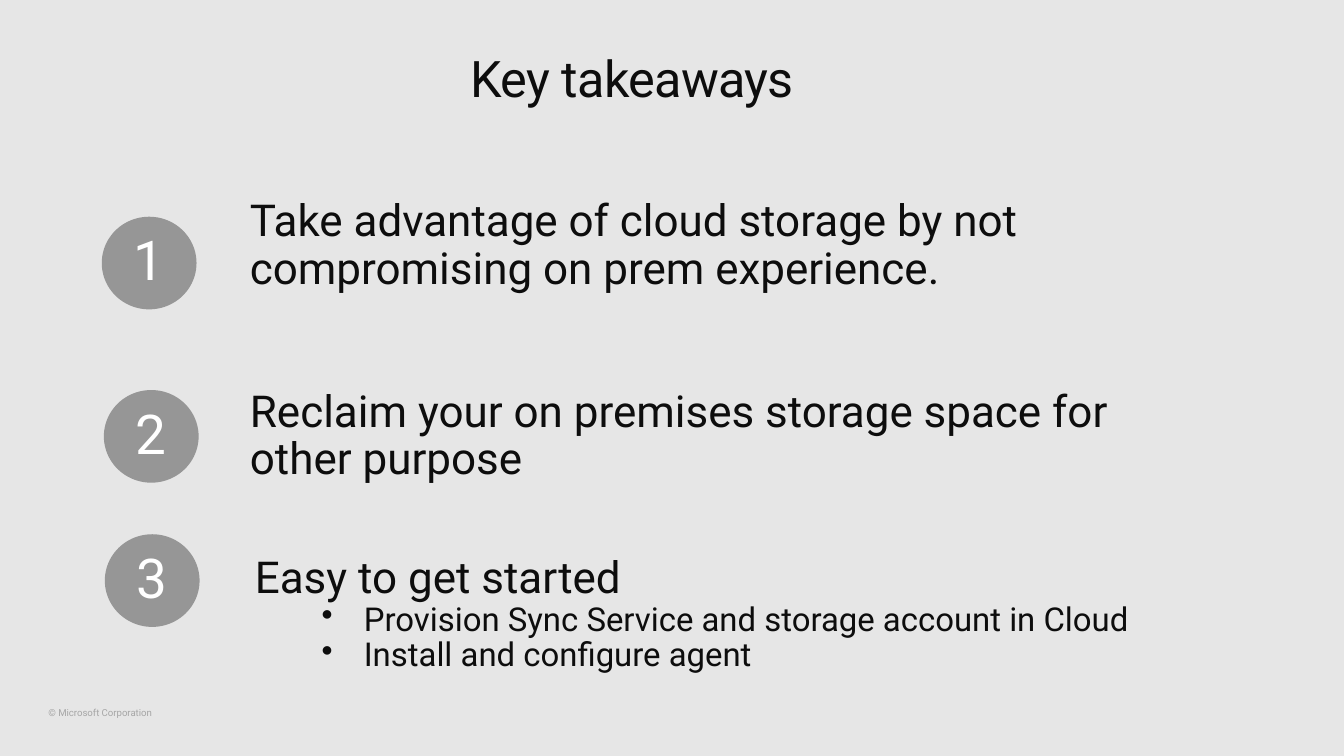
from dataclasses import dataclass

import lxml.etree
import pptx
import pptx.dml.color
import pptx.enum.shapes
import pptx.enum.text
import pptx.oxml.ns
import pptx.slide
import pptx.text.text
import pptx.util

Pt = pptx.util.Pt
Align = pptx.enum.text.PP_ALIGN
Anchor = pptx.enum.text.MSO_ANCHOR
Frame = pptx.text.text.TextFrame
Para = pptx.text.text._Paragraph
FONT = "Roboto"
BACK, DISC, INK, WHITE, FAINT = "E6E6E6", "969696", "0D0D0D", "FFFFFF", "A6A6A6"
DISC_W, DISC_H = 67.7, 66.2
PAD = (18.7, 15.1, 18.7, 15.1)


@dataclass
class Point:
    """One numbered takeaway: its disc, its text box and its bullets."""
    disc: tuple[float, float]
    box: tuple[float, float, float, float]
    text: str
    subs: tuple[str, ...] = ()


POINTS = [
    Point((72.7, 154.8), (159.8, 126.7, 652.3, 98.6),
          "Take advantage of cloud storage by not compromising on prem experience."),
    Point((74.2, 278.6), (159.8, 262.8, 719.3, 98.6),
          "Reclaim your on premises storage space for other purpose"),
    Point((74.9, 381.6), (163.4, 381.6, 770.4, 115.9), "Easy to get started",
          ("Provision Sync Service and storage account in Cloud",
           "Install and configure agent")),
]


def color(code: str) -> pptx.dml.color.RGBColor:
    return pptx.dml.color.RGBColor.from_string(code)


def setup(frame: Frame, pad: tuple[float, ...] = (0, 0, 0, 0),
          wrap: bool = True, anchor: Anchor = Anchor.TOP) -> None:
    """Set the frame's insets (left, top, right, bottom), wrapping and anchor."""
    (frame.margin_left, frame.margin_top,
     frame.margin_right, frame.margin_bottom) = map(Pt, pad)
    frame.word_wrap = wrap
    frame.vertical_anchor = anchor


def write(para: Para, text: str, *, size: float, ink: str = INK,
          align: Align = Align.LEFT, line: float = 0.9,
          track: int = 0, bullet: bool = False) -> None:
    """Fill a paragraph; track is letter spacing in hundredths of a point."""
    para.alignment = align
    para.line_spacing = line
    if bullet:
        para.level = 1
        props = para._p.get_or_add_pPr()
        props.set("marL", str(int(Pt(77.8))))
        props.set("indent", str(int(Pt(-30.2))))
        mark = lxml.etree.SubElement(props, pptx.oxml.ns.qn("a:buChar"))
        mark.set("char", "•")
    run = para.add_run()
    run.text = text
    run.font.name = FONT
    run.font.size = Pt(size)
    run.font.color.rgb = color(ink)
    if track:
        run._r.get_or_add_rPr().set("spc", str(track))


def add_box(slide: pptx.slide.Slide, box: tuple[float, float, float, float],
            pad: tuple[float, ...] = (0, 0, 0, 0), wrap: bool = True) -> Frame:
    frame = slide.shapes.add_textbox(*map(Pt, box)).text_frame
    setup(frame, pad, wrap)
    return frame


def add_point(slide: pptx.slide.Slide, number: int, point: Point) -> None:
    disc = slide.shapes.add_shape(
        pptx.enum.shapes.MSO_SHAPE.OVAL, *map(Pt, (*point.disc, DISC_W, DISC_H)))
    disc.shadow.inherit = False
    disc.fill.solid()
    disc.fill.fore_color.rgb = color(DISC)
    disc.line.fill.background()
    setup(disc.text_frame, anchor=Anchor.MIDDLE)
    write(disc.text_frame.paragraphs[0], str(number), size=39.2, ink=WHITE,
          align=Align.CENTER)

    frame = add_box(slide, point.box, PAD)
    write(frame.paragraphs[0], point.text, size=31.4)
    for sub in point.subs:
        write(frame.add_paragraph(), sub, size=23.5, bullet=True)


def main() -> None:
    deck = pptx.Presentation()
    deck.slide_width, deck.slide_height = Pt(960), Pt(540)
    slide = deck.slides.add_slide(deck.slide_layouts[6])
    slide.background.fill.solid()
    slide.background.fill.fore_color.rgb = color(BACK)

    title = add_box(slide, (336.2, 20.9, 324.7, 59.8), (0, 13, 0, 0))
    write(title.paragraphs[0], "Key takeaways", size=36, line=1, track=-50)
    for number, point in enumerate(POINTS, 1):
        add_point(slide, number, point)
    foot = add_box(slide, (34.6, 506.2, 76.3, 7.2), wrap=False)
    write(foot.paragraphs[0], "© Microsoft Corporation", size=6.9, ink=FAINT)

    deck.save("out.pptx")


if __name__ == "__main__":
    main()
